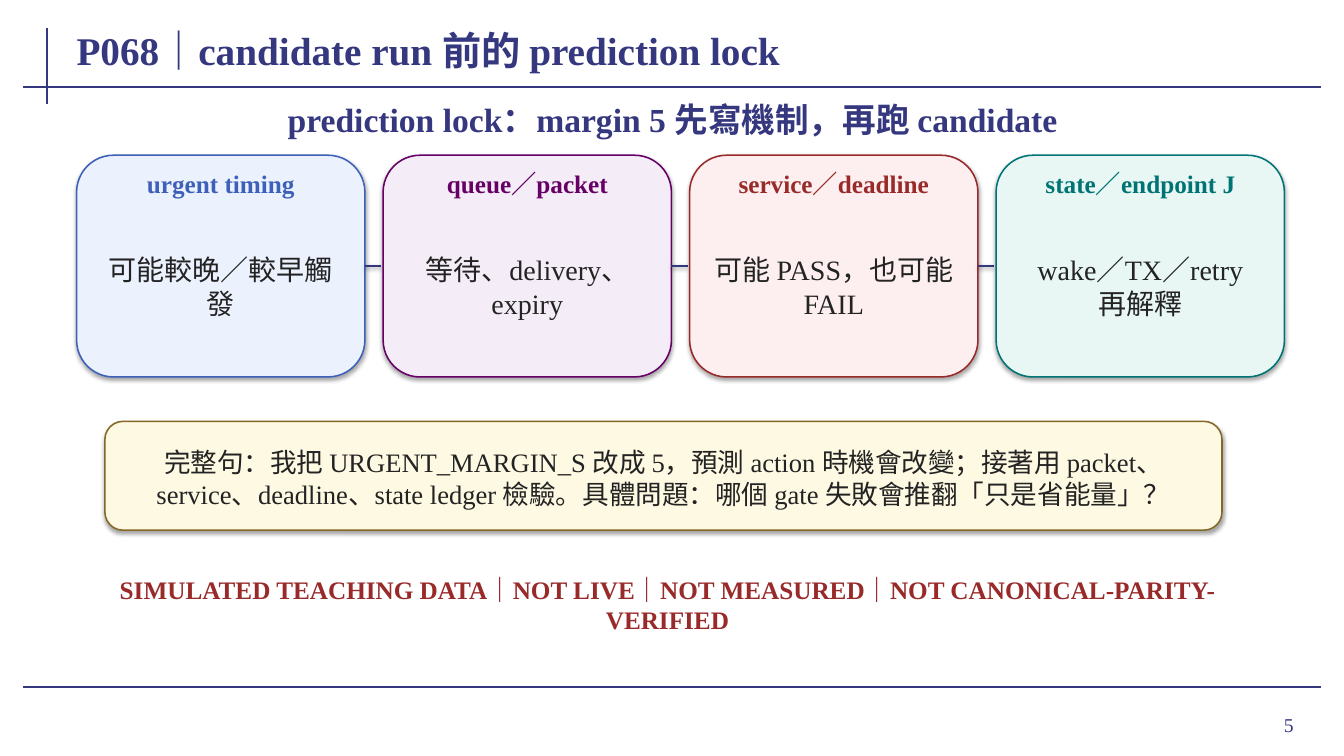
"""Build the prediction lock slide with four linked mechanism cards."""
import pptx
import pptx.dml.color
import pptx.enum.shapes
import pptx.enum.text
import pptx.oxml
import pptx.oxml.ns
import pptx.util

Inches = pptx.util.Inches
Pt = pptx.util.Pt
RGBColor = pptx.dml.color.RGBColor
Align = pptx.enum.text.PP_ALIGN

NAVY = RGBColor(0x35, 0x37, 0x7F)
INK = RGBColor(0x23, 0x23, 0x23)
BLUE = RGBColor(0x3D, 0x61, 0xB9)
PALE_BLUE = RGBColor(0xEC, 0xF1, 0xFE)
PURPLE = RGBColor(0x66, 0x00, 0x66)
PALE_PURPLE = RGBColor(0xF4, 0xED, 0xF7)
RED = RGBColor(0x99, 0x2A, 0x2A)
PALE_RED = RGBColor(0xFD, 0xEF, 0xEF)
TEAL = RGBColor(0x00, 0x74, 0x74)
PALE_TEAL = RGBColor(0xE8, 0xF7, 0xF4)
GOLD = RGBColor(0x84, 0x68, 0x26)
PALE_GOLD = RGBColor(0xFD, 0xF9, 0xE2)

CARDS = [
    ("urgent timing", "可能較晚／較早觸發", BLUE, PALE_BLUE),
    ("queue／packet", "等待、delivery、expiry", PURPLE, PALE_PURPLE),
    ("service／deadline", "可能 PASS，也可能 FAIL", RED, PALE_RED),
    ("state／endpoint J", "wake／TX／retry 再解釋", TEAL, PALE_TEAL),
]
CARD_LEFT, CARD_TOP, CARD_WIDTH, CARD_HEIGHT = 0.76, 1.54, 2.86, 2.2
CARD_STEP = 3.04
LINK_LENGTH = 0.16


class SlidePainter:
    """Hold the slide and its style, and draw each kind of element."""

    font = "Times New Roman"

    def __init__(self, slide):
        self.slide = slide

    def shadow(self, shape, opacity, distance):
        """Give a shape a soft downward shadow."""
        effects = pptx.oxml.parse_xml(
            f'<a:effectLst {pptx.oxml.ns.nsdecls("a")}>'
            f'<a:outerShdw blurRad="{Pt(3.1)}" dist="{Pt(distance)}" '
            'dir="5400000" rotWithShape="0"><a:srgbClr val="000000">'
            f'<a:alpha val="{opacity * 1000}"/></a:srgbClr>'
            '</a:outerShdw></a:effectLst>')
        shape.element.spPr.append(effects)

    def line(self, x1, y1, x2, y2, width=1.5, shadowed=False):
        """Draw a straight navy line."""
        line = self.slide.shapes.add_connector(
            pptx.enum.shapes.MSO_CONNECTOR.STRAIGHT,
            Inches(x1), Inches(y1), Inches(x2), Inches(y2))
        line.line.color.rgb = NAVY
        line.line.width = Pt(width)
        if shadowed:
            self.shadow(line, 38, 1.6)
        else:
            line.element.spPr.append(
                pptx.oxml.parse_xml(f'<a:effectLst {pptx.oxml.ns.nsdecls("a")}/>'))

    def panel(self, left, top, width, height, fill, outline):
        """Draw a rounded panel with a shadow."""
        panel = self.slide.shapes.add_shape(
            pptx.enum.shapes.MSO_SHAPE.ROUNDED_RECTANGLE,
            Inches(left), Inches(top), Inches(width), Inches(height))
        panel.fill.solid()
        panel.fill.fore_color.rgb = fill
        panel.line.color.rgb = outline
        panel.line.width = Pt(1.1)
        self.shadow(panel, 35, 1.8)

    def text(self, left, top, width, height, words, size, color,
             bold=False, align=Align.CENTER, grow=True):
        """Place one paragraph of text, centred vertically."""
        box = self.slide.shapes.add_textbox(
            Inches(left), Inches(top), Inches(width), Inches(height))
        frame = box.text_frame
        frame.word_wrap = True
        frame.vertical_anchor = pptx.enum.text.MSO_ANCHOR.MIDDLE
        frame.margin_left = frame.margin_right = Inches(0.08)
        frame.margin_top = frame.margin_bottom = Inches(0.04)
        if grow:
            frame.auto_size = pptx.enum.text.MSO_AUTO_SIZE.SHAPE_TO_FIT_TEXT
        para = frame.paragraphs[0]
        para.alignment = align
        span = para.add_run()
        span.text = words
        span.font.name = self.font
        span.font.size = Pt(size)
        span.font.bold = bold
        span.font.color.rgb = color

    def card(self, left, heading, body, color, fill):
        """Draw a mechanism card with its heading and body."""
        self.panel(left, CARD_TOP, CARD_WIDTH, CARD_HEIGHT, fill, color)
        self.text(left + 0.14, CARD_TOP + 0.12, CARD_WIDTH - 0.28, 0.32,
                  heading, 18, color, bold=True)
        self.text(left + 0.16, CARD_TOP + 0.52, CARD_WIDTH - 0.32, 1.56,
                  body, 20, INK)


def main():
    """Build and save the deck."""
    deck = pptx.Presentation()
    deck.slide_width, deck.slide_height = Inches(13.33), Inches(7.5)
    page = SlidePainter(deck.slides.add_slide(deck.slide_layouts[6]))

    page.line(0.47, 0.28, 0.47, 1.03)
    for rule_y in (0.86, 6.82):
        page.line(0.23, rule_y, 13.1, rule_y)
    page.text(11.96, 6.93, 0.95, 0.52, "5", 14, NAVY,
              align=Align.RIGHT, grow=False)
    page.text(0.68, 0.18, 11.95, 0.62, "P068｜candidate run 前的 prediction lock",
              28, NAVY, bold=True, align=Align.LEFT, grow=False)
    page.text(0.86, 0.94, 11.62, 0.48,
              "prediction lock：margin 5 先寫機制，再跑 candidate",
              24, NAVY, bold=True)

    link_y = CARD_TOP + CARD_HEIGHT / 2
    for index, card in enumerate(CARDS):
        left = CARD_LEFT + index * CARD_STEP
        page.card(left, *card)
        if index < len(CARDS) - 1:
            right = left + CARD_WIDTH
            page.line(right, link_y, right + LINK_LENGTH, link_y,
                      width=1.4, shadowed=True)

    page.panel(1.04, 4.18, 11.08, 1.08, PALE_GOLD, GOLD)
    page.text(1.3, 4.4, 10.56, 0.68,
              "完整句：我把 URGENT_MARGIN_S 改成 5，預測 action 時機會改變；"
              "接著用 packet、service、deadline、state ledger 檢驗。"
              "具體問題：哪個 gate 失敗會推翻「只是省能量」？", 19, INK)
    page.text(0.72, 5.86, 11.8, 0.27,
              "SIMULATED TEACHING DATA｜NOT LIVE｜NOT MEASURED｜"
              "NOT CANONICAL-PARITY-VERIFIED", 18, RED, bold=True)
    deck.save("out.pptx")


if __name__ == "__main__":
    main()
